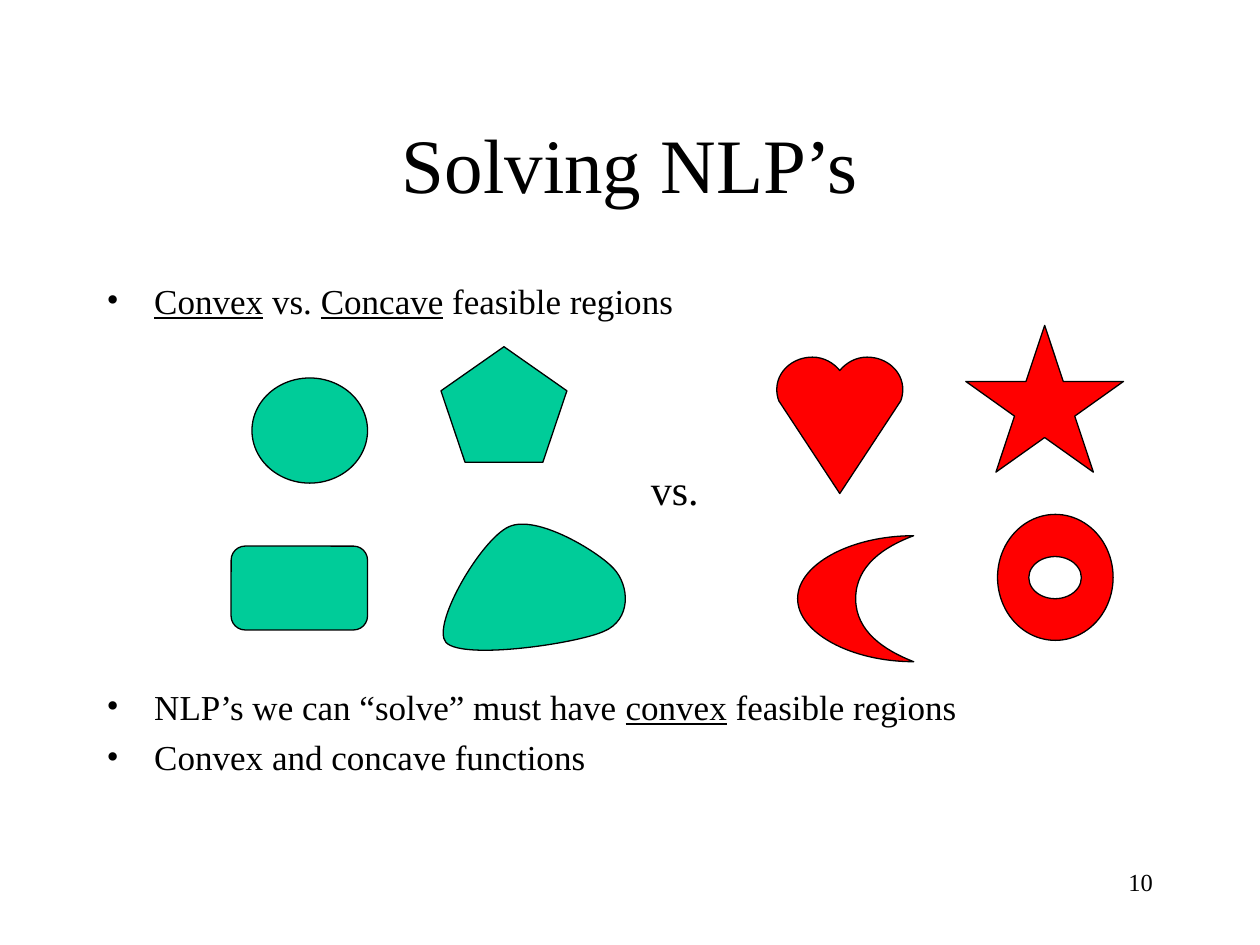
from lxml.etree import SubElement
from pptx import Presentation
from pptx.dml.color import RGBColor
from pptx.enum.shapes import MSO_SHAPE as Kind
from pptx.enum.text import MSO_ANCHOR as Anchor, MSO_AUTO_SIZE as Fit, PP_ALIGN as Align
from pptx.oxml.ns import qn
from pptx.util import Cm, Pt

BLACK = RGBColor(0, 0, 0)
WHITE = RGBColor(255, 255, 255)
GREEN = RGBColor(0, 204, 153)
RED = RGBColor(255, 0, 0)
FONT = "Times New Roman"
AXIS = 16.93

BLOB = [
    (10.26, 10.62), (9.7, 10.87), (8.69, 12.6), (8.99, 12.95),
    (9.32, 13.31), (11.61, 12.98), (12.17, 12.73),
    (12.73, 12.5), (12.7, 11.81), (12.37, 11.46),
    (12.07, 11.13), (10.82, 10.36), (10.26, 10.62),
]
MOON = [
    (18.42, 10.8), (17.83, 11.02), (17.25, 11.4), (17.25, 12.07),
    (17.25, 12.73), (17.83, 13.11), (18.42, 13.34),
    (17.15, 13.34), (16.08, 12.75), (16.08, 12.07),
    (16.08, 11.38), (17.15, 10.8), (18.42, 10.8),
]
LOBE = [
    (15.7, 8.08), (15.67, 8), (15.66, 7.92), (15.66, 7.85),
    (15.66, 7.49), (15.98, 7.2), (16.38, 7.2),
    (16.61, 7.2), (16.81, 7.32), (AXIS, 7.47),
]
HEART = [(AXIS, 9.95)] + LOBE + [(2 * AXIS - x, y) for x, y in LOBE[-2::-1]]
POINTS = [
    (5, [("Convex", True), (" vs. ", False), ("Concave", True),
         (" feasible regions", False)]),
    (208, [("NLP’s we can “solve” must have ", False), ("convex", True),
           (" feasible regions", False)]),
    (5, [("Convex and concave functions", False)]),
]


def style(item, form):
    """Set each attribute named in form on item."""
    for name, value in form.items():
        setattr(item, name, value)


def paint(shape, color):
    """Give a shape a flat fill and a thin black outline."""
    shape.shadow.inherit = False
    shape.fill.solid()
    shape.fill.fore_color.rgb = color
    shape.line.color.rgb = BLACK
    shape.line.width = Pt(0.75)


def preset(slide, kind, place, color):
    """Draw a preset shape."""
    paint(slide.shapes.add_shape(kind, *map(Cm, place)), color)


def outline(slide, knots, color, lead=0):
    """Draw a closed outline of lead straight lines, then Bezier curves."""
    first, *rest = [(Cm(x), Cm(y)) for x, y in knots]
    pen = slide.shapes.build_freeform(*first)
    pen.add_line_segments(rest, close=True)
    shape = pen.convert_to_shape()
    lines = list(shape._element.iter(qn("a:lnTo")))[lead:]
    for start, *others in zip(lines[::3], lines[1::3], lines[2::3]):
        start.tag = qn("a:cubicBezTo")
        for line in others:
            start.append(line[0])
            line.getparent().remove(line)
    paint(shape, color)


def box(slide, place, form):
    """Add a text box and return its text frame."""
    frame = slide.shapes.add_textbox(*map(Cm, place)).text_frame
    style(frame, {"word_wrap": True, **form})
    return frame


def write(para, text, size, line=False):
    """Add one run of text to a paragraph."""
    run = para.add_run()
    run.text = text
    style(run.font, {"name": FONT, "size": Pt(size), "underline": line})
    run.font.color.rgb = BLACK


def label(slide, place, text, size, align=Align.LEFT, **form):
    """Add a text box holding one line."""
    para = box(slide, place, form).paragraphs[0]
    para.alignment = align
    write(para, text, size)


def bullet(para):
    """Give a paragraph a hanging bullet."""
    props = para._p.get_or_add_pPr()
    props.set("marL", str(Cm(0.96)))
    props.set("indent", str(-Cm(0.96)))
    tint = SubElement(props, qn("a:buClr"))
    SubElement(tint, qn("a:srgbClr")).set("val", str(BLACK))
    SubElement(props, qn("a:buFont")).set("typeface", FONT)
    SubElement(props, qn("a:buChar")).set("char", "•")


def points(slide):
    """Write the bullet list around the drawings."""
    frame = box(slide, (1.9, 5.5, 21.6, 11.43), {})
    for i, (gap, runs) in enumerate(POINTS):
        para = frame.add_paragraph() if i else frame.paragraphs[0]
        para.space_before = Pt(gap)
        bullet(para)
        for text, line in runs:
            write(para, text, 20, line)


def main():
    """Build the slide and save it."""
    deck = Presentation()
    style(deck, {"slide_width": Cm(25.4), "slide_height": Cm(19.05)})
    slide = deck.slides.add_slide(deck.slide_layouts[6])
    label(slide, (1.9, 1.7, 21.6, 3.18), "Solving NLP’s", 44, Align.CENTER,
          vertical_anchor=Anchor.MIDDLE)
    points(slide)
    preset(slide, Kind.OVAL, (5.08, 7.62, 2.33, 2.12), GREEN)
    preset(slide, Kind.REGULAR_PENTAGON, (8.89, 6.99, 2.54, 2.33), GREEN)
    preset(slide, Kind.ROUNDED_RECTANGLE, (4.66, 11.01, 2.75, 1.69), GREEN)
    outline(slide, BLOB, GREEN)
    outline(slide, HEART, RED, lead=1)
    preset(slide, Kind.STAR_5_POINT, (19.47, 6.56, 3.18, 2.96), RED)
    outline(slide, MOON, RED)
    preset(slide, Kind.OVAL, (20.11, 10.37, 2.33, 2.54), RED)
    preset(slide, Kind.OVAL, (20.74, 11.22, 1.06, 0.85), WHITE)
    label(slide, (12.87, 9.22, 1.47, 1.27), "vs.", 24, word_wrap=False,
          auto_size=Fit.SHAPE_TO_FIT_TEXT)
    label(slide, (18.2, 17.36, 5.29, 1.27), "10", 14, Align.RIGHT)
    deck.save("out.pptx")


if __name__ == "__main__":
    main()
